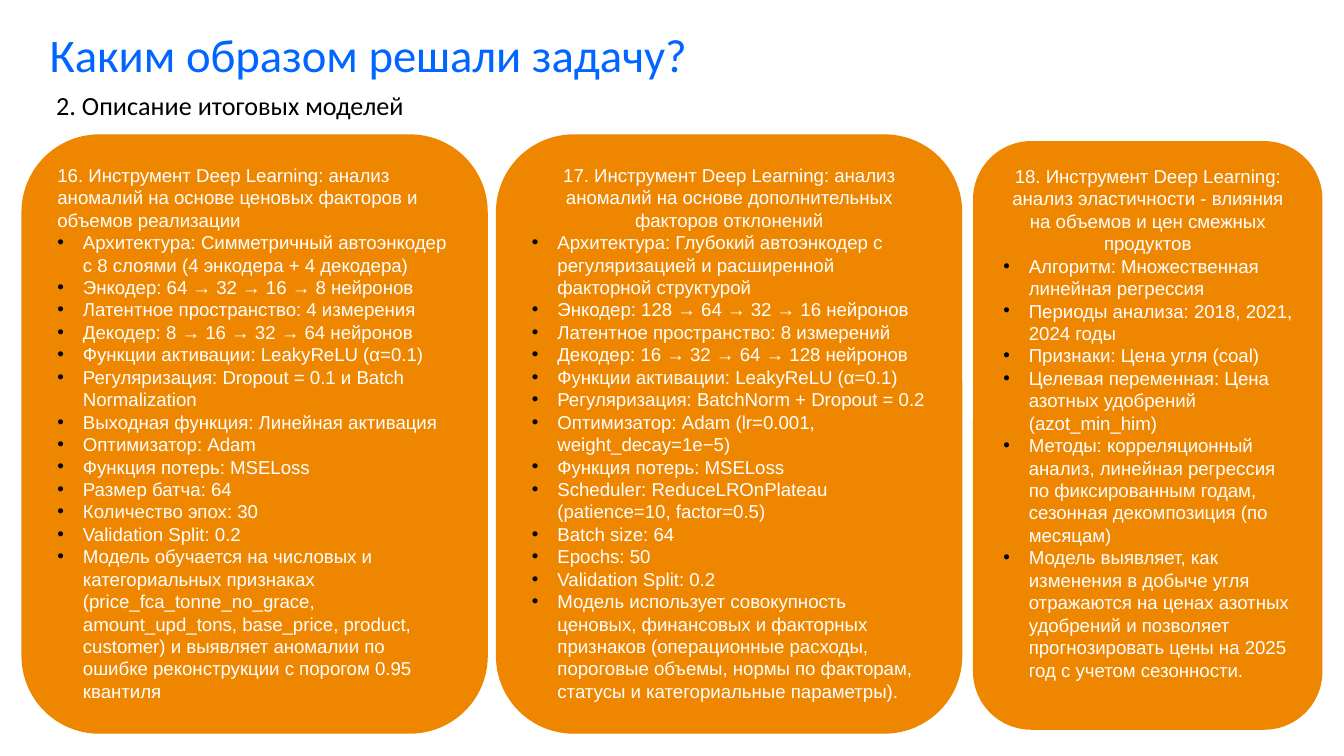
from lxml.etree import SubElement
from pptx import Presentation
from pptx.dml.color import RGBColor
from pptx.enum.shapes import MSO_SHAPE as Shape
from pptx.enum.text import MSO_ANCHOR as Anchor, MSO_AUTO_SIZE as AutoSize, PP_ALIGN as Align
from pptx.oxml.ns import qn
from pptx.util import Inches, Pt

WIDTH = 10
HEIGHT = WIDTH * 9 / 16
COLORS = {"card": "EF8600", "title": "0066FF", "text": "000000", "card_text": "FFFFFF"}
FONTS = {
    "title": {"name": "Calibri", "size": Pt(25)},
    "text": {"name": "Calibri", "size": Pt(14)},
    "card_text": {"name": "Arial", "size": Pt(10)},
}
MARGIN = Inches(0.1)
INDENT = Inches(0.19)
TALL_TOP, TALL_WIDTH, TALL_HEIGHT = 1, 3.47, 4.46
FIRST_LEFT, GAP = 0.16, 0.06

CARDS = [
    {
        "box": (FIRST_LEFT, TALL_TOP, TALL_WIDTH, TALL_HEIGHT),
        "align": Align.LEFT,
        "heading": "16. Инструмент Deep Learning: анализ аномалий на основе ценовых факторов и объемов реализации",
        "items": [
            "Архитектура: Симметричный автоэнкодер с 8 слоями (4 энкодера + 4 декодера)",
            "Энкодер: 64 → 32 → 16 → 8 нейронов",
            "Латентное пространство: 4 измерения",
            "Декодер: 8 → 16 → 32 → 64 нейронов",
            "Функции активации: LeakyReLU (α=0.1)",
            "Регуляризация: Dropout = 0.1 и Batch Normalization",
            "Выходная функция: Линейная активация",
            "Оптимизатор: Adam",
            "Функция потерь: MSELoss",
            "Размер батча: 64",
            "Количество эпох: 30",
            "Validation Split: 0.2",
            "Модель обучается на числовых и категориальных признаках "
            "(price_fca_tonne_no_grace, amount_upd_tons, base_price, product, customer) "
            "и выявляет аномалии по ошибке реконструкции с порогом 0.95 квантиля",
        ],
    },
    {
        "box": (FIRST_LEFT + TALL_WIDTH + GAP, TALL_TOP, TALL_WIDTH, TALL_HEIGHT),
        "align": Align.CENTER,
        "heading": "17. Инструмент Deep Learning: анализ аномалий на основе дополнительных факторов отклонений",
        "items": [
            "Архитектура: Глубокий автоэнкодер с регуляризацией и расширенной факторной структурой",
            "Энкодер: 128 → 64 → 32 → 16 нейронов",
            "Латентное пространство: 8 измерений",
            "Декодер: 16 → 32 → 64 → 128 нейронов",
            "Функции активации: LeakyReLU (α=0.1)",
            "Регуляризация: BatchNorm + Dropout = 0.2",
            "Оптимизатор: Adam (lr=0.001, weight_decay=1e−5)",
            "Функция потерь: MSELoss",
            "Scheduler: ReduceLROnPlateau (patience=10, factor=0.5)",
            "Batch size: 64",
            "Epochs: 50",
            "Validation Split: 0.2",
            "Модель использует совокупность ценовых, финансовых и факторных признаков "
            "(операционные расходы, пороговые объемы, нормы по факторам, статусы "
            "и категориальные параметры).",
        ],
    },
    {
        "box": (7.24, 1.05, 2.6, 4.38),
        "align": Align.CENTER,
        "heading": "18. Инструмент Deep Learning: анализ эластичности - влияния на объемов и цен смежных продуктов",
        "items": [
            "Алгоритм: Множественная линейная регрессия",
            "Периоды анализа: 2018, 2021, 2024 годы",
            "Признаки: Цена угля (coal)",
            "Целевая переменная: Цена азотных удобрений (azot_min_him)",
            "Методы: корреляционный анализ, линейная регрессия по фиксированным годам, "
            "сезонная декомпозиция (по месяцам)",
            "Модель выявляет, как изменения в добыче угля отражаются на ценах азотных "
            "удобрений и позволяет прогнозировать цены на 2025 год с учетом сезонности.",
        ],
    },
]


def set_all(target, values):
    for name, value in values.items():
        setattr(target, name, value)


def place(shape, left, top, width, height):
    lengths = {"left": left, "top": top, "width": width, "height": height}
    set_all(shape, {name: Inches(length) for name, length in lengths.items()})


def set_frame(frame, anchor, margin=MARGIN):
    set_all(frame, {
        "word_wrap": True, "auto_size": AutoSize.NONE, "vertical_anchor": anchor,
        "margin_left": MARGIN, "margin_right": MARGIN,
        "margin_top": margin, "margin_bottom": margin,
    })


def write(paragraph, text, style, **formats):
    set_all(paragraph, formats)
    run = paragraph.add_run()
    run.text = text
    set_all(run.font, FONTS[style])
    run.font.color.rgb = RGBColor.from_string(COLORS[style])


def add_bullet(paragraph):
    properties = paragraph._p.get_or_add_pPr()
    properties.set("marL", str(INDENT))
    properties.set("indent", str(-INDENT))
    color = SubElement(properties, qn("a:buClr"))
    SubElement(color, qn("a:srgbClr"), val=COLORS["text"])
    SubElement(properties, qn("a:buFont"), typeface="Arial")
    SubElement(properties, qn("a:buChar"), char="•")


def add_card(slide, box, align, heading, items):
    card = slide.shapes.add_shape(Shape.ROUNDED_RECTANGLE, *map(Inches, box))
    card.shadow.inherit = False
    card.fill.solid()
    card.fill.fore_color.rgb = RGBColor.from_string(COLORS["card"])
    card.line.fill.background()
    frame = card.text_frame
    set_frame(frame, Anchor.TOP, Inches(0.05))
    write(frame.paragraphs[0], heading, "card_text", alignment=align)
    for item in items:
        paragraph = frame.add_paragraph()
        write(paragraph, item, "card_text", alignment=Align.LEFT)
        add_bullet(paragraph)


def add_subtitle(slide, text):
    box = slide.shapes.add_textbox(0, 0, 0, 0)
    place(box, 0.17, 0.3, 9.42, 0.74)
    set_frame(box.text_frame, Anchor.BOTTOM, Inches(0.14))
    paragraph = box.text_frame.paragraphs[0]
    write(paragraph, text, "text", alignment=Align.JUSTIFY, line_spacing=1.15)
    paragraph._p.get_or_add_pPr().set("marL", str(Inches(0.15)))


def set_title(slide, text):
    title = slide.shapes.title
    place(title, 0.27, 0.17, 9.22, 0.57)
    set_frame(title.text_frame, Anchor.TOP)
    write(title.text_frame.paragraphs[0], text, "title", alignment=Align.LEFT, line_spacing=0.8)


def main():
    presentation = Presentation()
    set_all(presentation, {"slide_width": Inches(WIDTH), "slide_height": Inches(HEIGHT)})
    slide = presentation.slides.add_slide(presentation.slide_layouts[5])
    set_title(slide, "Каким образом решали задачу?")
    for card in CARDS:
        add_card(slide, **card)
    add_subtitle(slide, "2. Описание итоговых моделей")
    presentation.save("out.pptx")


if __name__ == "__main__":
    main()
